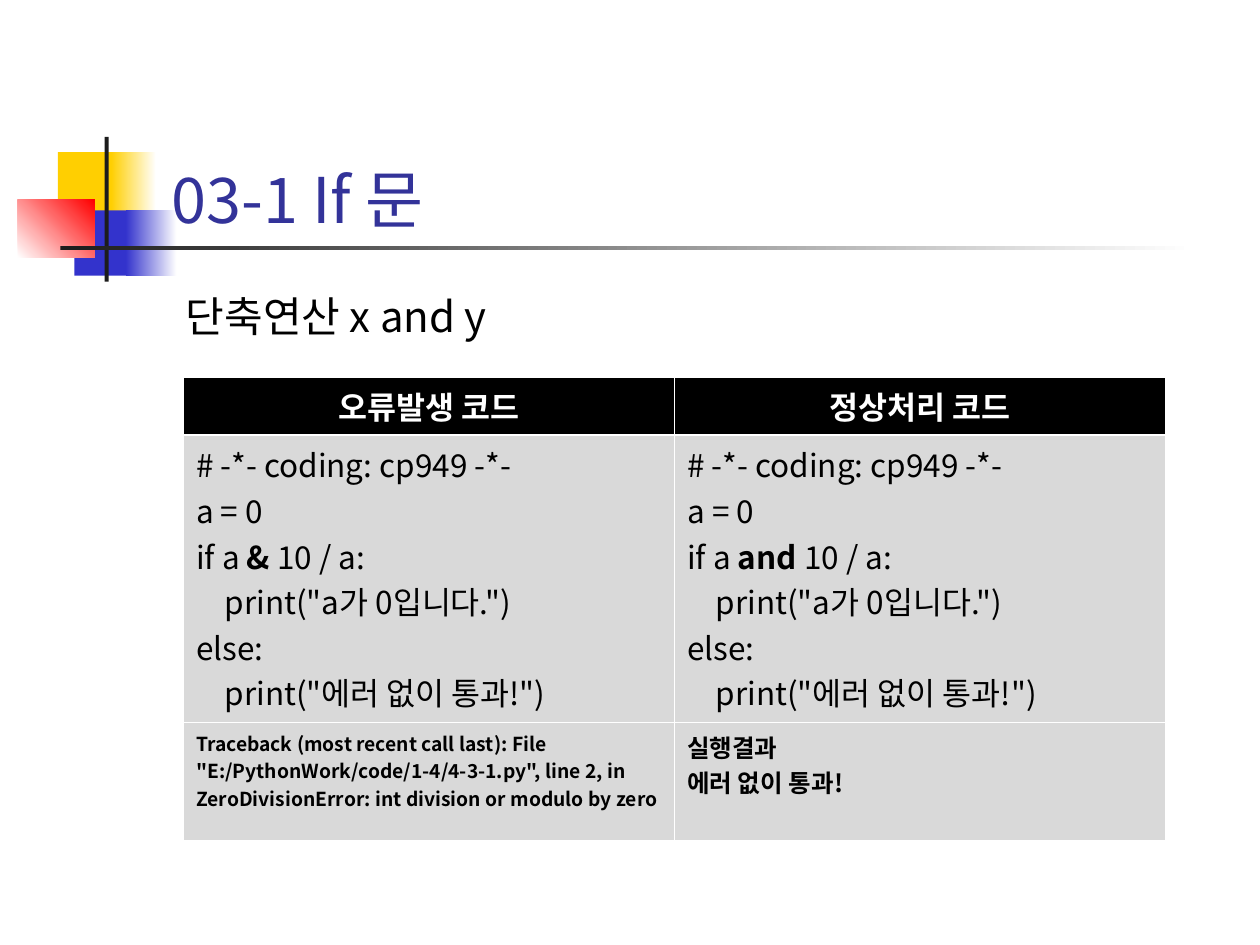
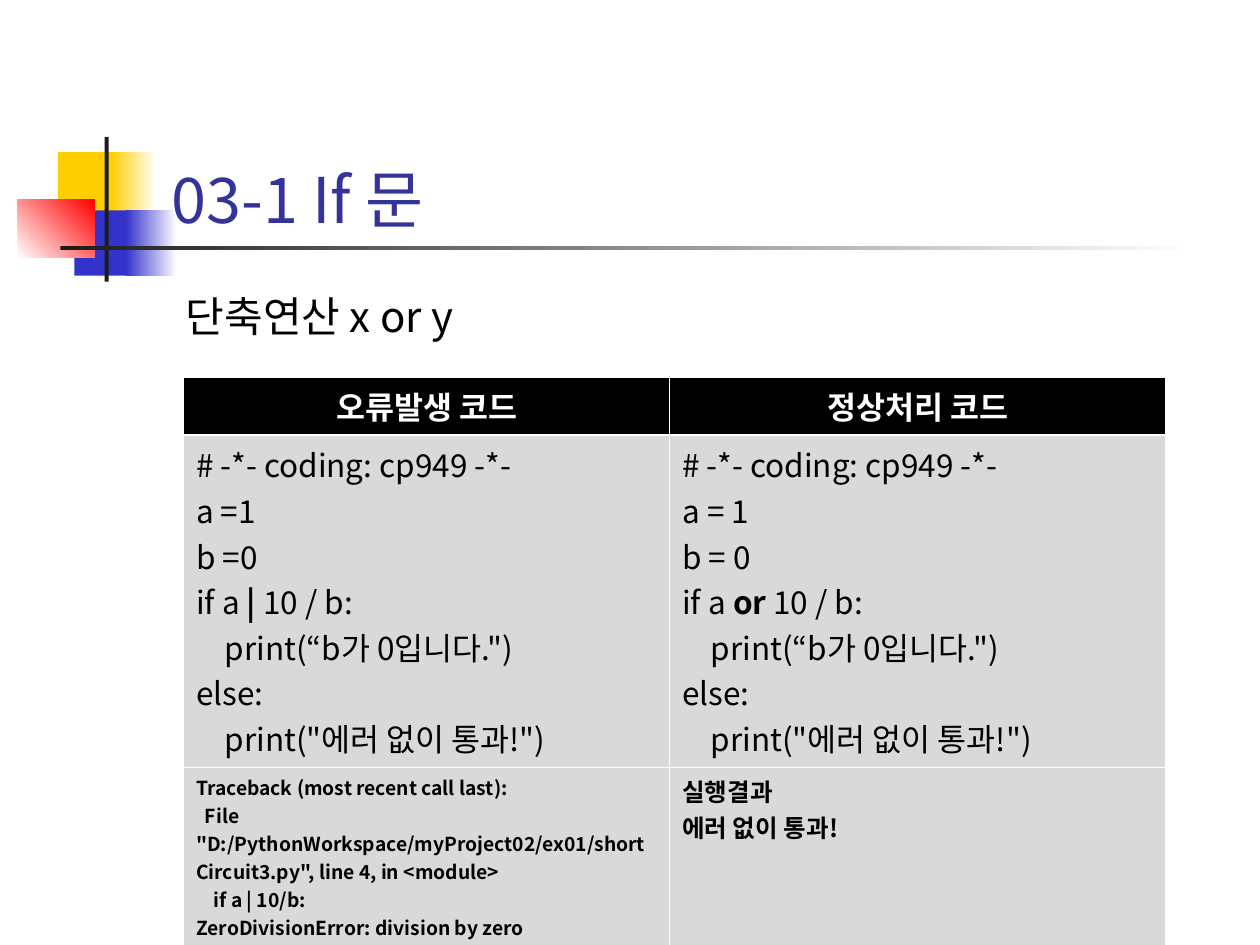
from lxml.etree import SubElement
from pptx import Presentation
from pptx.dml.color import RGBColor
from pptx.enum.shapes import MSO_SHAPE as Shape
from pptx.enum.text import MSO_ANCHOR as Anchor, MSO_AUTO_SIZE as AutoSize, PP_ALIGN as Align
from pptx.oxml import parse_xml
from pptx.oxml.ns import nsdecls, qn
from pptx.util import Cm, Pt

FONT = "Noto Sans CJK KR"
YELLOW = RGBColor(0xFF, 0xCF, 0x01)
BLUE = RGBColor(0x33, 0x33, 0xCC)
RED = RGBColor(0xFF, 0x00, 0x00)
INK = RGBColor(0x1C, 0x1C, 0x1C)
NAVY = RGBColor(0x33, 0x33, 0x99)
BLACK = RGBColor(0x00, 0x00, 0x00)
WHITE = RGBColor(0xFF, 0xFF, 0xFF)
GRAY = RGBColor(0xD9, 0xD9, 0xD9)

TITLE_BOX = (Cm(3.2), Cm(1.7), Cm(19.71), Cm(3.18))
SUBTITLE_BOX = (Cm(3.5), Cm(5.74), Cm(19.61), Cm(1.3))
TABLE_BOX = (Cm(3.7), Cm(7.6))
EMBLEM_BOX = (Cm(0.36), Cm(2.76))

TITLE = {"size": Pt(36), "color": NAVY}
SUBTITLE = {"size": Pt(24), "color": BLACK}
HEADER = {"size": Pt(18), "bold": True, "color": WHITE}
CODE = {"size": Pt(18), "bold": False, "color": BLACK}
ERROR = {"size": Pt(11), "bold": True, "color": BLACK}
RESULT = {"size": Pt(14), "bold": True, "color": BLACK}

EMBLEM_PARTS = [
    (0.81, 0.31, 1.22, 1.32, [YELLOW], 0),
    (1.88, 0.31, 0.91, 1.32, [YELLOW, WHITE], 0),
    (1.14, 1.48, 1.17, 1.32, [BLUE], 0),
    (2.18, 1.48, 1.02, 1.32, [BLUE, WHITE], 0),
    (0, 1.27, 1.55, 1.17, [WHITE, RED], 45),
    (1.75, 0, 0.08, 2.92, [INK], 0),
    (0.86, 2.19, 22.86, 0.1, [INK, WHITE], 0),
]

HEADINGS = ["오류발생 코드", "정상처리 코드"]
CODING = "# -*- coding: cp949 -*-"
SUCCESS = [(0, "실행결과"), (0, "에러 없이 통과!")]


def branch(condition, message):
    return [
        (0, f"if a {condition}:"),
        (2, f"print({message})"),
        (0, "else:"),
        (2, 'print("에러 없이 통과!")'),
    ]


def and_code(operator):
    return [(0, CODING), (0, "a = 0")] + branch(f"`{operator}` 10 / a", '"a가 0입니다."')


def or_code(operator, equals):
    values = [(0, f"a {equals}1"), (0, f"b {equals}0")]
    return [(0, CODING)] + values + branch(f"`{operator}` 10 / b", '“b가 0입니다."')


LESSONS = [
    {
        "subtitle": "단축연산 x and y",
        "columns": [9.9, 9.9],
        "rows": [1.17, 5.79, 2.38],
        "code": [and_code("&"), and_code("and")],
        "error": [
            (0, 'Traceback (most recent call last): File "E:/PythonWork/code/1-4/4-3-1.py", '
                "line 2, in ZeroDivisionError: int division or modulo by zero"),
        ],
    },
    {
        "subtitle": "단축연산 x or y",
        "columns": [9.8, 10],
        "rows": [1.17, 6.69, 3.59],
        "code": [or_code("|", "="), or_code("or", "= ")],
        "error": [
            (0, "Traceback (most recent call last):"),
            (1, 'File "D:/PythonWorkspace/myProject02/ex01/shortCircuit3.py", line 4, in <module>'),
            (2, "if a | 10/b:"),
            (0, "ZeroDivisionError: division by zero"),
        ],
    },
]


def format_run(run, style):
    for name, value in style.items():
        if name == "color":
            run.font.color.rgb = value
        else:
            setattr(run.font, name, value)
    run.font.name = FONT
    SubElement(run.font._element, qn("a:ea"), typeface=FONT)


def write_lines(text_frame, lines, style, **paragraph_format):
    for index, (depth, text) in enumerate(lines):
        paragraph = text_frame.paragraphs[0] if index == 0 else text_frame.add_paragraph()
        for name, value in paragraph_format.items():
            setattr(paragraph, name, value)
        if depth:
            properties = paragraph._p.get_or_add_pPr()
            properties.set("marL", "0")
            properties.set("indent", str(Cm(0.016 * style["size"].pt * depth)))
        for position, part in enumerate(text.split("`")):
            run = paragraph.add_run()
            run.text = part
            format_run(run, {**style, "bold": True} if position % 2 else style)


def place(shape, box):
    for name, value in zip(("left", "top", "width", "height"), box):
        setattr(shape, name, value)


def add_emblem(slide, layout, box):
    left, top = box
    for index, (x, y, width, height, colors, angle) in enumerate(EMBLEM_PARTS):
        shape = slide.shapes.add_shape(
            Shape.RECTANGLE, left + Cm(x), top + Cm(y), Cm(width), Cm(height))
        shape.shadow.inherit = False
        shape.line.fill.background()
        if len(colors) == 1:
            shape.fill.solid()
            shape.fill.fore_color.rgb = colors[0]
        else:
            shape.fill.gradient()
            shape.fill.gradient_angle = angle
            for stop, color in zip(shape.fill.gradient_stops, colors):
                stop.color.rgb = color
        layout.shapes.element.insert(2 + index, shape._element)


def add_title(slide, text):
    frame = slide.shapes.title.text_frame
    settings = {"vertical_anchor": Anchor.BOTTOM, "auto_size": AutoSize.NONE, "word_wrap": True}
    for name, value in settings.items():
        setattr(frame, name, value)
    write_lines(frame, [(0, text)], TITLE, alignment=Align.LEFT)


def add_subtitle(slide, box, text):
    frame = slide.shapes.add_textbox(*box).text_frame
    frame.word_wrap = True
    write_lines(frame, [(0, text)], SUBTITLE, space_before=Pt(6))


def set_borders(cell, widths):
    properties = cell._tc.get_or_add_tcPr()
    for index, (side, width) in enumerate(widths.items()):
        properties.insert(index, parse_xml(
            f'<a:ln{side} {nsdecls("a")} w="{Pt(width)}"><a:solidFill>'
            f'<a:srgbClr val="{WHITE}"/></a:solidFill></a:ln{side}>'))


def add_comparison(slide, box, lesson):
    columns, rows = lesson["columns"], lesson["rows"]
    table = slide.shapes.add_table(
        len(rows), len(columns), *box, Cm(sum(columns)), Cm(sum(rows))).table
    table.first_row = table.horz_banding = False
    for column, width in zip(table.columns, columns):
        column.width = Cm(width)
    for row, height in zip(table.rows, rows):
        row.height = Cm(height)

    headings = [([(0, heading)], HEADER) for heading in HEADINGS]
    code = [(lines, CODE) for lines in lesson["code"]]
    outcomes = [(lesson["error"], ERROR), (SUCCESS, RESULT)]
    for row_index, contents in enumerate([headings, code, outcomes]):
        is_header = row_index == 0
        for column_index, (lines, style) in enumerate(contents):
            cell = table.cell(row_index, column_index)
            cell.fill.solid()
            cell.fill.fore_color.rgb = BLACK if is_header else GRAY
            set_borders(cell, {
                "L": 0.45, "R": 0.45,
                "T": 1.47 if row_index == 1 else 0.45,
                "B": 1.47 if is_header else 0.45,
            })
            write_lines(cell.text_frame, lines, style,
                        alignment=Align.CENTER if is_header else Align.LEFT)


def add_lesson(presentation, layout, lesson):
    slide = presentation.slides.add_slide(layout)
    add_title(slide, "03-1 If 문")
    add_subtitle(slide, SUBTITLE_BOX, lesson["subtitle"])
    add_comparison(slide, TABLE_BOX, lesson)
    return slide


def main():
    presentation = Presentation()
    presentation.slide_width, presentation.slide_height = Cm(25.4), Cm(19.05)
    layout = presentation.slide_layouts[5]
    place(layout.placeholders[0], TITLE_BOX)
    slides = [add_lesson(presentation, layout, lesson) for lesson in LESSONS]
    add_emblem(slides[0], layout, EMBLEM_BOX)
    presentation.save("out.pptx")


if __name__ == "__main__":
    main()
